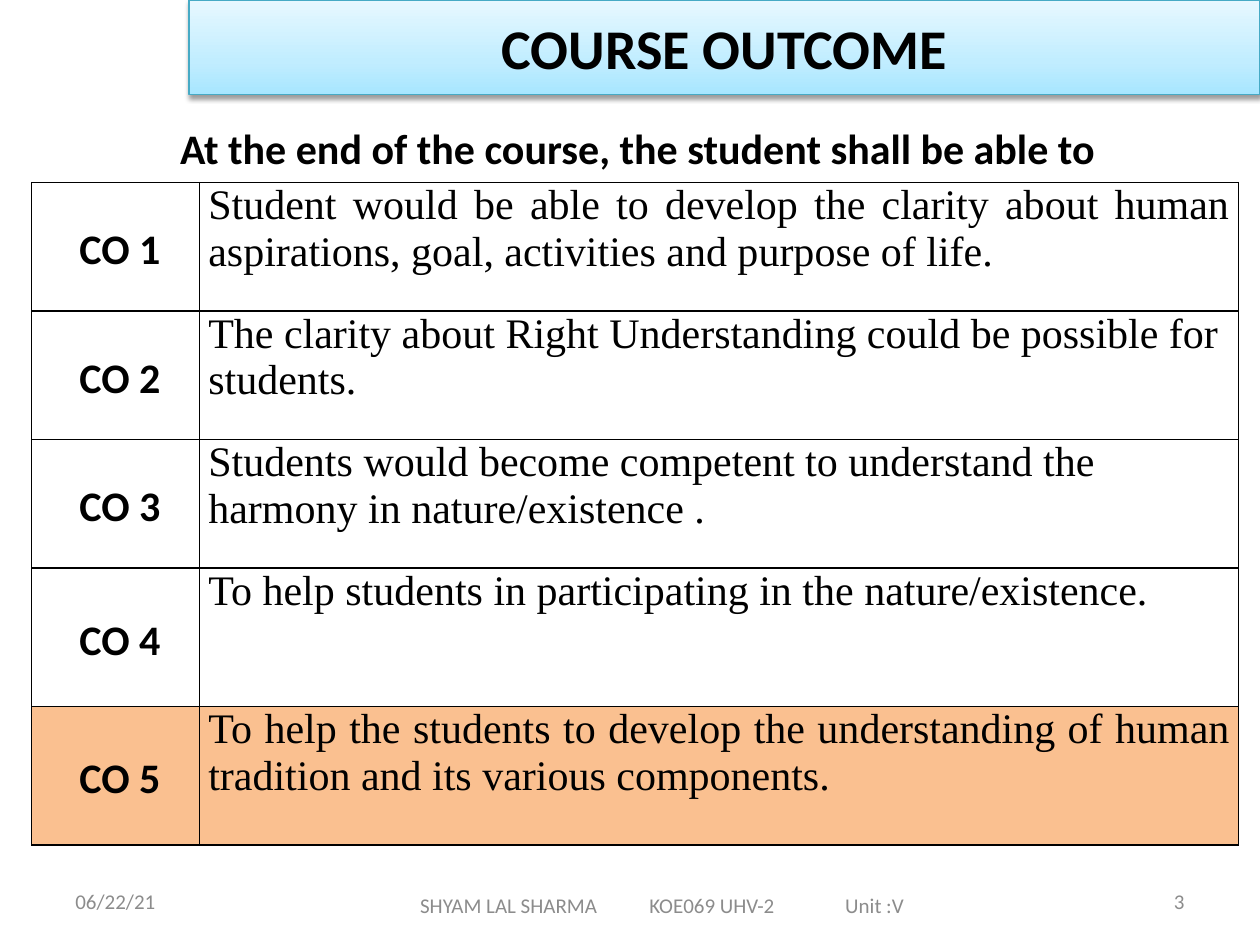
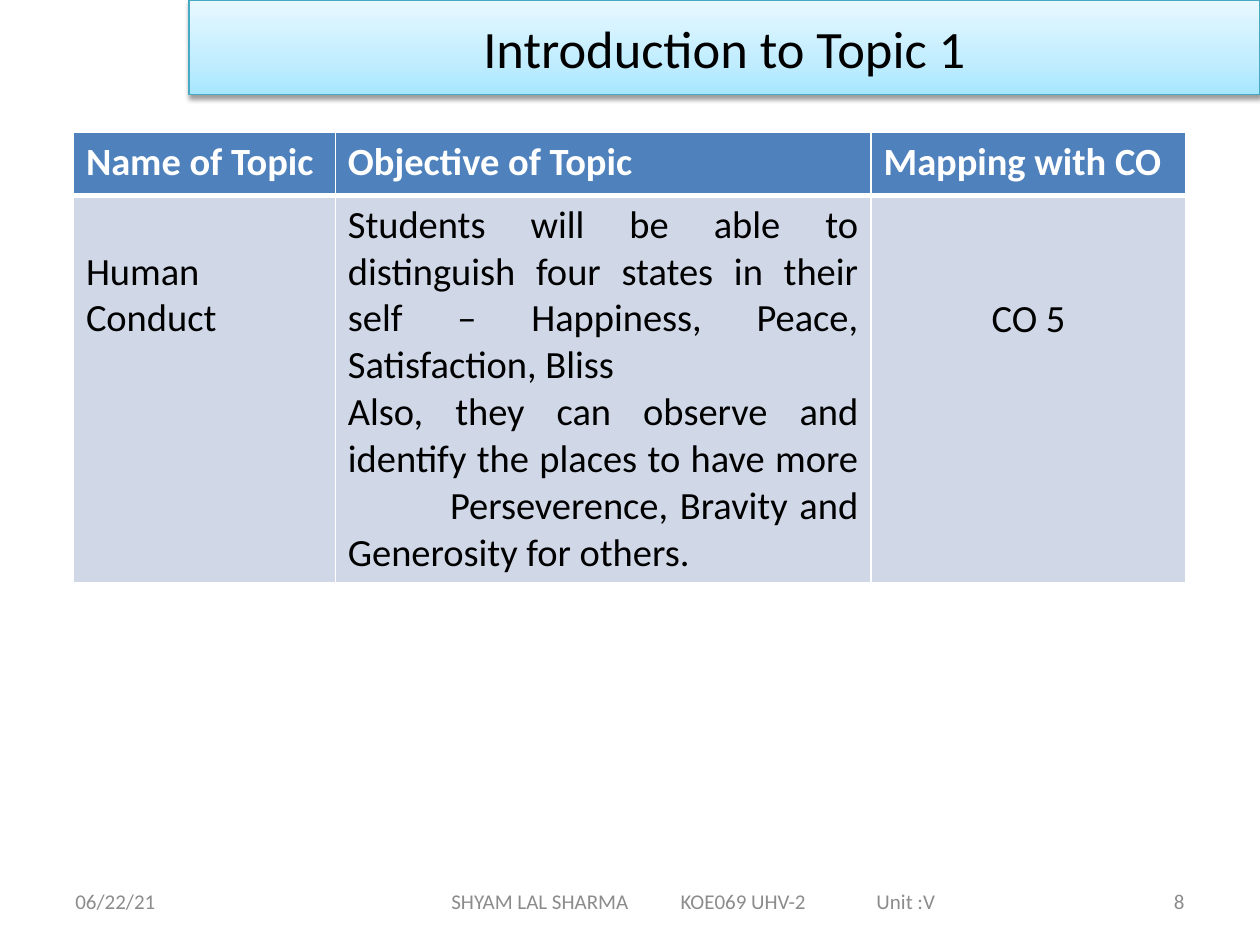
"""Builds two course slides: the outcome list and the topic introduction."""
from copy import deepcopy

from lxml.etree import SubElement
from pptx import Presentation
from pptx.dml.color import RGBColor
from pptx.enum.text import MSO_ANCHOR as Anchor, PP_ALIGN as Align
from pptx.oxml import parse_xml
from pptx.oxml.ns import nsdecls, qn
from pptx.util import Cm, Pt

BLACK = RGBColor(0x00, 0x00, 0x00)
WHITE = RGBColor(0xFF, 0xFF, 0xFF)
GREY = RGBColor(0x8C, 0x8C, 0x8C)
TEAL = RGBColor(0x46, 0xAA, 0xC5)
ORANGE = RGBColor(0xFA, 0xC0, 0x90)
BLUE = RGBColor(0x4F, 0x81, 0xBD)
PALE_BLUE = RGBColor(0xD0, 0xD8, 0xE8)
BAND_STOPS = (
    (0, RGBColor(0xA7, 0xE6, 0xFF)),
    (0.35, RGBColor(0xC1, 0xED, 0xFF)),
    (1, RGBColor(0xE7, 0xF8, 0xFF)),
)

SANS, SERIF = "Calibri", "Times New Roman"
TITLE_ONLY = 5
FOOTER_TOP, FOOTER_HEIGHT = 17.65, 1.02
FOOTER_TEXT_WIDTH = 9.75
FOOTER_TEXT = "SHYAM LAL SHARMA\tKOE069 UHV-2\tUnit :V"

OUTCOMES = (
    ("Student would be able to develop the clarity about human aspirations, "
     "goal, activities and purpose of life.", Align.JUSTIFY),
    ("The clarity about Right Understanding could be possible for students.",
     Align.LEFT),
    ("Students would become competent to understand the harmony in "
     "nature/existence .", Align.LEFT),
    ("To help students in participating in the nature/existence.",
     Align.JUSTIFY),
    ("To help the students to develop the understanding of human tradition "
     "and its various components.", Align.JUSTIFY),
)
OBJECTIVE = (
    "Students will be able to distinguish four states in their self – "
    "Happiness, Peace, Satisfaction, Bliss\n"
    "Also, they can observe and identify the places to have more\v"
    "\tPerseverence, Bravity and Generosity for others."
)


def write(frame, text, size=12, color=BLACK, font=SANS, bold=False,
          align=Align.LEFT, anchor=Anchor.TOP, indent=0, tabs=(),
          line_spacing=None, space_after=0):
    """Fill a text frame or table cell with uniformly formatted text."""
    holder = getattr(frame, "text_frame", frame)
    holder.text = text
    frame.vertical_anchor = anchor
    for para in holder.paragraphs:
        para.alignment = align
        para.line_spacing = line_spacing
        para.space_after = Pt(space_after)
        properties = para._p.get_or_add_pPr()
        if indent:
            properties.set("marL", str(Cm(indent)))
            properties.set("indent", "0")
        if tabs:
            tab_list = SubElement(properties, qn("a:tabLst"))
            for position in tabs:
                SubElement(tab_list, qn("a:tab"), pos=str(Cm(position)), algn="l")
        for span in para.runs:
            span.font.name = font
            span.font.size = Pt(size)
            span.font.bold = bold
            span.font.color.rgb = color


def add_text(slide, text, left, top, width, height, **style):
    """Add a wrapping text box and return its frame."""
    box = slide.shapes.add_textbox(Cm(left), Cm(top), Cm(width), Cm(height))
    box.text_frame.word_wrap = True
    write(box.text_frame, text, **style)
    return box.text_frame


def add_footer(slide, number, left, width, top=FOOTER_TOP):
    """Add the date, the centred course line and the slide number."""
    style = dict(color=GREY, anchor=Anchor.MIDDLE)
    add_text(slide, "06/22/21", 1.27, FOOTER_TOP, 5.92, FOOTER_HEIGHT, **style)
    course = add_text(slide, FOOTER_TEXT, left, top, width, FOOTER_HEIGHT,
                      tabs=(4.62, 8.57), **style)
    course.margin_left = Cm((width - FOOTER_TEXT_WIDTH) / 2)
    add_text(slide, str(number), 18.21, FOOTER_TOP, 5.92, FOOTER_HEIGHT,
             align=Align.RIGHT, **style)


def add_titled_slide(deck, text, **style):
    """Add a slide whose title is the shaded gradient band."""
    slide = deck.slides.add_slide(deck.slide_layouts[TITLE_ONLY])
    band = slide.shapes.title
    band.left, band.top, band.width, band.height = Cm(3.81), 0, Cm(21.59), Cm(1.91)
    write(band.text_frame, text, align=Align.CENTER, anchor=Anchor.MIDDLE, **style)
    band.fill.gradient()
    band.fill.gradient_angle = 90
    properties = band._element.spPr
    stop_list = properties.find(".//" + qn("a:gsLst"))
    stop_list.append(deepcopy(stop_list[0]))
    for stop, (position, color) in zip(band.fill.gradient_stops, BAND_STOPS):
        stop.position = position
        stop.color.rgb = color
    band.line.color.rgb = TEAL
    band.line.width = Pt(0.75)
    band.shadow.inherit = False
    properties.find(qn("a:effectLst")).append(parse_xml(
        f'<a:outerShdw {nsdecls("a")} blurRad="{Pt(3.1)}" dist="{Pt(1.6)}" '
        'dir="5400000" rotWithShape="0"><a:srgbClr val="000000">'
        '<a:alpha val="38000"/></a:srgbClr></a:outerShdw>'))
    return slide


def add_grid(slide, left, top, columns, rows):
    """Add an unbanded table with the given column widths and row heights."""
    table = slide.shapes.add_table(
        len(rows), len(columns), Cm(left), Cm(top),
        Cm(sum(columns)), Cm(sum(rows))).table
    table.first_row = table.horz_banding = False
    for column, width in zip(table.columns, columns):
        column.width = Cm(width)
    for row, height in zip(table.rows, rows):
        row.height = Cm(height)
    return table


def paint_cell(cell, fill, border, **widths):
    """Set a cell's fill and its borders, one point wide unless given."""
    if fill is None:
        cell.fill.background()
    else:
        cell.fill.solid()
        cell.fill.fore_color.rgb = fill
    properties = cell._tc.get_or_add_tcPr()
    for index, side in enumerate("LRTB"):
        properties.insert(index, parse_xml(
            f'<a:ln{side} {nsdecls("a")} w="{Pt(widths.get(side, 1))}">'
            f'<a:solidFill><a:srgbClr val="{border}"/></a:solidFill></a:ln{side}>'))


def set_margins(cell, sides, ends):
    """Set a cell's horizontal and vertical margins."""
    cell.margin_left = cell.margin_right = Cm(sides)
    cell.margin_top = cell.margin_bottom = Cm(ends)


def build_outcomes(deck):
    """Build the slide listing the course outcomes."""
    slide = add_titled_slide(deck, "COURSE OUTCOME", size=32, bold=True)
    table = add_grid(slide, 0.64, 3.68, (3.38, 20.95),
                     (2.59, 2.59, 2.59, 2.79, 2.79))
    for index, (outcome, align) in enumerate(OUTCOMES):
        label, detail = table.cell(index, 0), table.cell(index, 1)
        write(label, f"CO {index + 1}", size=24, bold=True, align=Align.JUSTIFY,
              anchor=Anchor.MIDDLE, indent=0.81, line_spacing=1.15)
        write(detail, outcome, size=24, font=SERIF, align=align, space_after=10)
        set_margins(label, 0.15, 0.15)
        set_margins(detail, 0.18, 0)
        for cell in (label, detail):
            paint_cell(cell, ORANGE if index == 4 else None, BLACK)
    add_text(slide, "At the end of the course, the student shall be able to",
             3.38, 2.34, 21.79, 1.27, size=24, bold=True)
    add_footer(slide, 3, left=6.78, width=13.13, top=17.73)


def build_topic(deck):
    """Build the slide introducing the first topic."""
    slide = add_titled_slide(deck, "Introduction to Topic 1", size=30)
    table = add_grid(slide, 1.48, 2.67, (5.28, 10.8, 6.35), (1.27, 7.72))
    headings = ("Name of Topic", "Objective of Topic", "Mapping with CO")
    for cell, heading in zip(table.rows[0].cells, headings):
        write(cell, heading, size=22, color=WHITE, bold=True)
        paint_cell(cell, BLUE, WHITE, B=3)
    topic, objective, mapping = table.rows[1].cells
    write(topic, "Human Conduct", size=22, align=Align.JUSTIFY)
    write(objective, OBJECTIVE, size=22, align=Align.JUSTIFY, tabs=(2.06,))
    write(mapping, "CO 5", size=22, align=Align.CENTER)
    topic.margin_top, mapping.margin_top = Cm(1.07), Cm(2.02)
    for cell in (topic, objective, mapping):
        paint_cell(cell, PALE_BLUE, WHITE, T=3)
    add_footer(slide, 8, left=6.99, width=13.97)


def main():
    """Build and save the deck."""
    deck = Presentation()
    deck.slide_width, deck.slide_height = Cm(25.4), Cm(19.05)
    build_outcomes(deck)
    build_topic(deck)
    deck.save("out.pptx")


if __name__ == "__main__":
    main()
